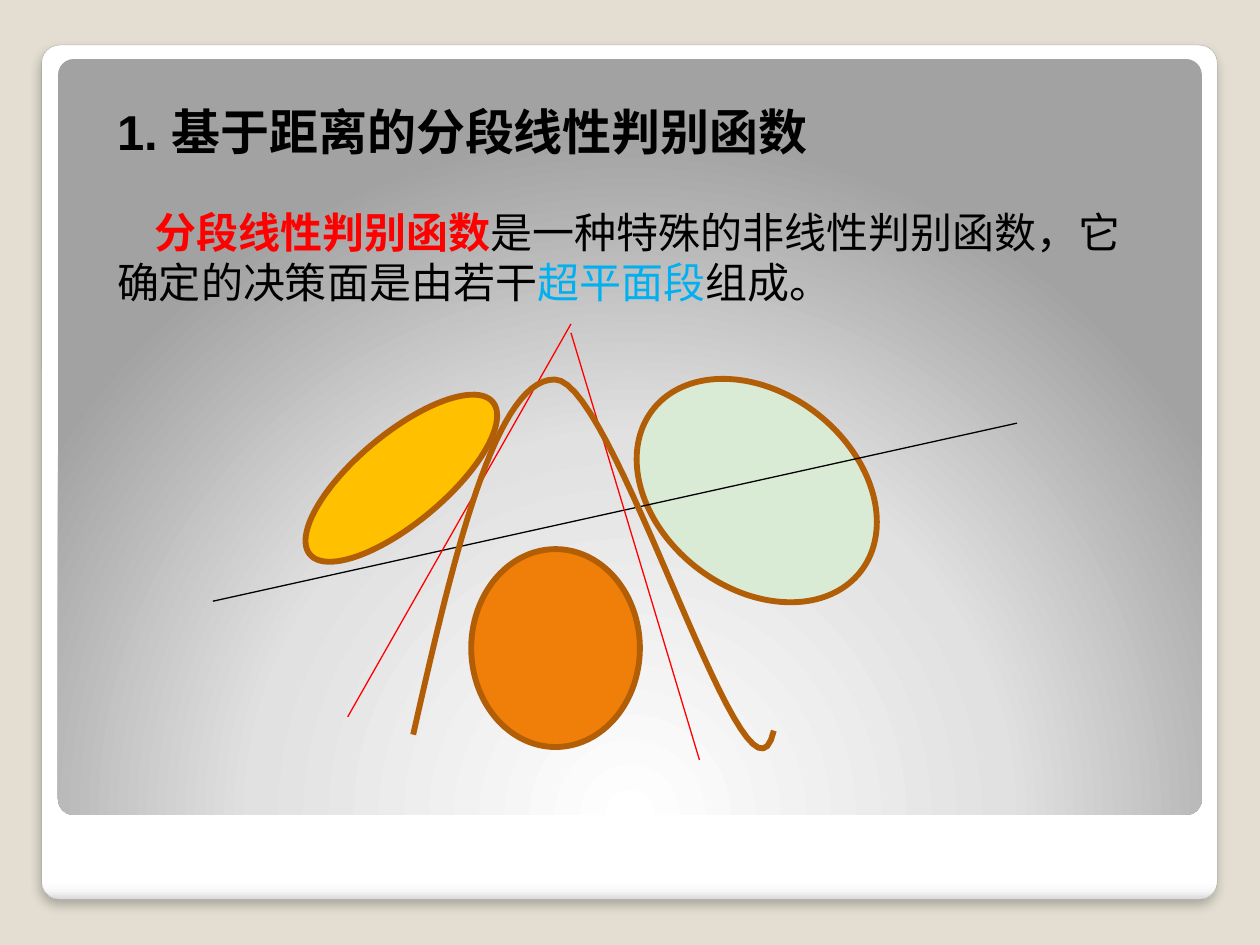
from lxml.etree import SubElement
from pptx import Presentation
from pptx.dml.color import RGBColor
from pptx.enum.shapes import MSO_CONNECTOR, MSO_SHAPE
from pptx.oxml import parse_xml
from pptx.oxml.ns import nsdecls, qn
from pptx.util import Cm, Pt

BEIGE = RGBColor(0xE3, 0xDE, 0xD1)
BLACK = RGBColor(0, 0, 0)
RED = RGBColor(0xFF, 0, 0)
BLUE = RGBColor(0, 0xB0, 0xF0)
BROWN = RGBColor(0xB2, 0x5E, 0x07)
YELLOW = RGBColor(0xFF, 0xC0, 0)
GREEN = RGBColor(0xD9, 0xEA, 0xD5)
ORANGE = RGBColor(0xF0, 0x7F, 0x09)
GREY = RGBColor(0xA4, 0xA4, 0xA4)

# Box in cm, size, first-line indent in cm, runs of (text, colour, bold)
TEXTS = [
    ((2.11, 1.93, 15.8, 1.45), 28, 0,
     [("1. 基于距离的分段线性判别函数", BLACK, True)]),
    ((2.11, 4.04, 21.01, 2.31), 24, 0.76,
     [("分段线性判别函数", RED, True),
      ("是一种特殊的非线性判别函数，它确定的决策面是由若干", BLACK, False),
      ("超平面段", BLUE, False),
      ("组成。", BLACK, False)]),
]
# Box in cm, rotation, fill
CLASSES = [
    ((5.69, 8.74, 4.8, 1.8), 140.2, YELLOW),
    ((12.6, 7.92, 5.31, 3.94), 37.8, GREEN),
    ((9.5, 11.07, 3.4, 3.99), 0, ORANGE),
]
# Start and end in cm, colour
PLANES = [
    ((4.29, 12.12, 20.5, 8.53), BLACK),
    ((11.51, 6.53, 7.01, 14.45), RED),
    ((11.51, 6.71, 14.1, 15.32), RED),
]
# Cubic segments of the decision curve, control points in cm
CURVE = [
    [(8.33, 14.81), (9.14, 11.23), (9.98, 7.65), (11.18, 7.65)],
    [(11.18, 7.65), (12.4, 7.62), (15.09, 17.02), (15.6, 14.73)],
]
STEPS = 30
FRAME_STOPS = [(0, "FFFFFF"), (98, "FFFFFF"), (99, "F7F7F7"), (100, "DADADA")]
PANEL_STOPS = [(0, "FFFFFF"), (55, "E1E1E1"), (100, "A2A2A2")]
DOWN = '<a:lin ang="5400000" scaled="0"/>'
RADIAL = ('<a:path path="circle"><a:fillToRect l="50000" t="175000" '
          'r="50000" b="-75000"/></a:path>')


def add_preset(s, kind, box):
    """Add a preset shape without a theme shadow."""
    sp = s.shapes.add_shape(kind, *map(Cm, box))
    sp.shadow.inherit = False
    return sp


def set_line(sp, color, width):
    """Set the outline colour and width in points."""
    sp.line.color.rgb = color
    sp.line.width = Pt(width)


def add_panel(s, box, stops, direction):
    """Add a rounded panel with a gradient fill."""
    sp = add_preset(s, MSO_SHAPE.ROUNDED_RECTANGLE, box)
    sp.adjustments[0] = 0.021
    sp.line.fill.background()
    gs = "".join(f'<a:gs pos="{pos * 1000}"><a:srgbClr val="{c}"/></a:gs>'
                 for pos, c in stops)
    sp._element.spPr.find(qn("a:prstGeom")).addnext(parse_xml(
        f'<a:gradFill {nsdecls("a")} rotWithShape="1">'
        f'<a:gsLst>{gs}</a:gsLst>{direction}</a:gradFill>'))
    return sp


def add_shadow(sp):
    """Give a shape a soft shadow below it."""
    effects = sp._element.spPr.find(qn("a:effectLst"))
    effects.append(parse_xml(
        f'<a:outerShdw {nsdecls("a")} blurRad="{Pt(6)}" dist="{Pt(4)}" '
        'dir="5400000" algn="t" rotWithShape="0"><a:srgbClr val="000000">'
        '<a:alpha val="25000"/></a:srgbClr></a:outerShdw>'))


def add_text(s, box, size, indent, runs):
    """Add a wrapped text box, run by run."""
    tf = s.shapes.add_textbox(*map(Cm, box)).text_frame
    tf.word_wrap = True
    p = tf.paragraphs[0]
    p._p.get_or_add_pPr().set("indent", str(Cm(indent)))
    for text, color, bold in runs:
        r = p.add_run()
        r.text = text
        r.font.name = "Arial"
        r.font.size = Pt(size)
        r.font.bold = bold
        r.font.color.rgb = color


def bezier(points, t):
    """Return the point at t on a cubic curve, in EMU."""
    weights = ((1 - t) ** 3, 3 * t * (1 - t) ** 2, 3 * t * t * (1 - t), t ** 3)
    return tuple(Cm(sum(w * pt[i] for w, pt in zip(weights, points)))
                 for i in (0, 1))


def add_curve(s, segments):
    """Add the decision curve as an open outline."""
    points = [bezier(seg, i / STEPS) for seg in segments
              for i in range(1, STEPS + 1)]
    builder = s.shapes.build_freeform(*bezier(segments[0], 0))
    builder.add_line_segments(points, close=False)
    sp = builder.convert_to_shape()
    sp.shadow.inherit = False
    sp.fill.background()
    set_line(sp, BROWN, 3.35)


prs = Presentation()
prs.slide_width, prs.slide_height = Cm(25.4), Cm(19.05)
s = prs.slides.add_slide(prs.slide_layouts[6])
s.background.fill.solid()
s.background.fill.fore_color.rgb = BEIGE

frame = add_panel(s, (0.84, 0.91, 23.7, 17.22), FRAME_STOPS, DOWN)
set_line(frame, GREY, 0.16)
add_shadow(frame)
add_panel(s, (1.17, 1.19, 23.06, 15.24), PANEL_STOPS, RADIAL)

for text in TEXTS:
    add_text(s, *text)

for box, rotation, color in CLASSES:
    sp = add_preset(s, MSO_SHAPE.OVAL, box)
    sp.rotation = rotation
    sp.fill.solid()
    sp.fill.fore_color.rgb = color
    set_line(sp, BROWN, 3.35)

for ends, color in PLANES:
    plane = s.shapes.add_connector(MSO_CONNECTOR.STRAIGHT, *map(Cm, ends))
    set_line(plane, color, 0.75)
    SubElement(plane._element.spPr, qn("a:effectLst"))

add_curve(s, CURVE)
prs.save("out.pptx")
